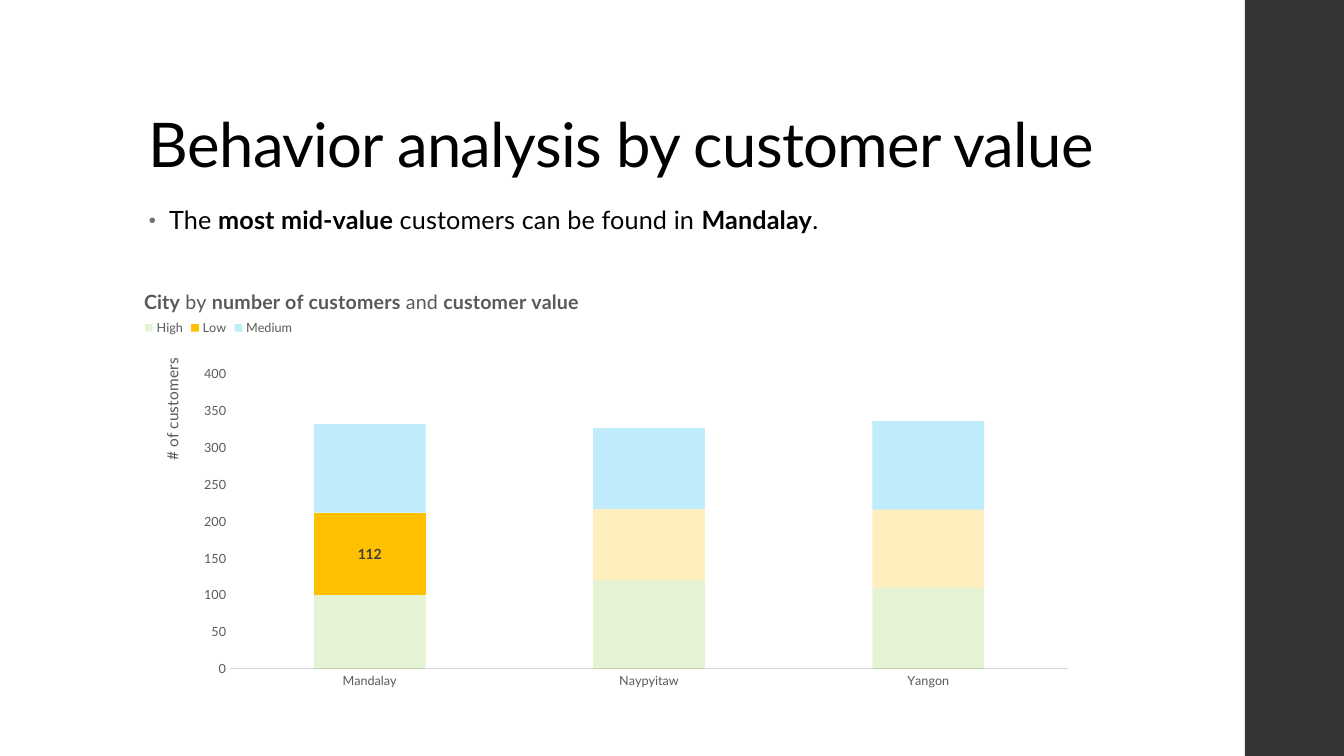
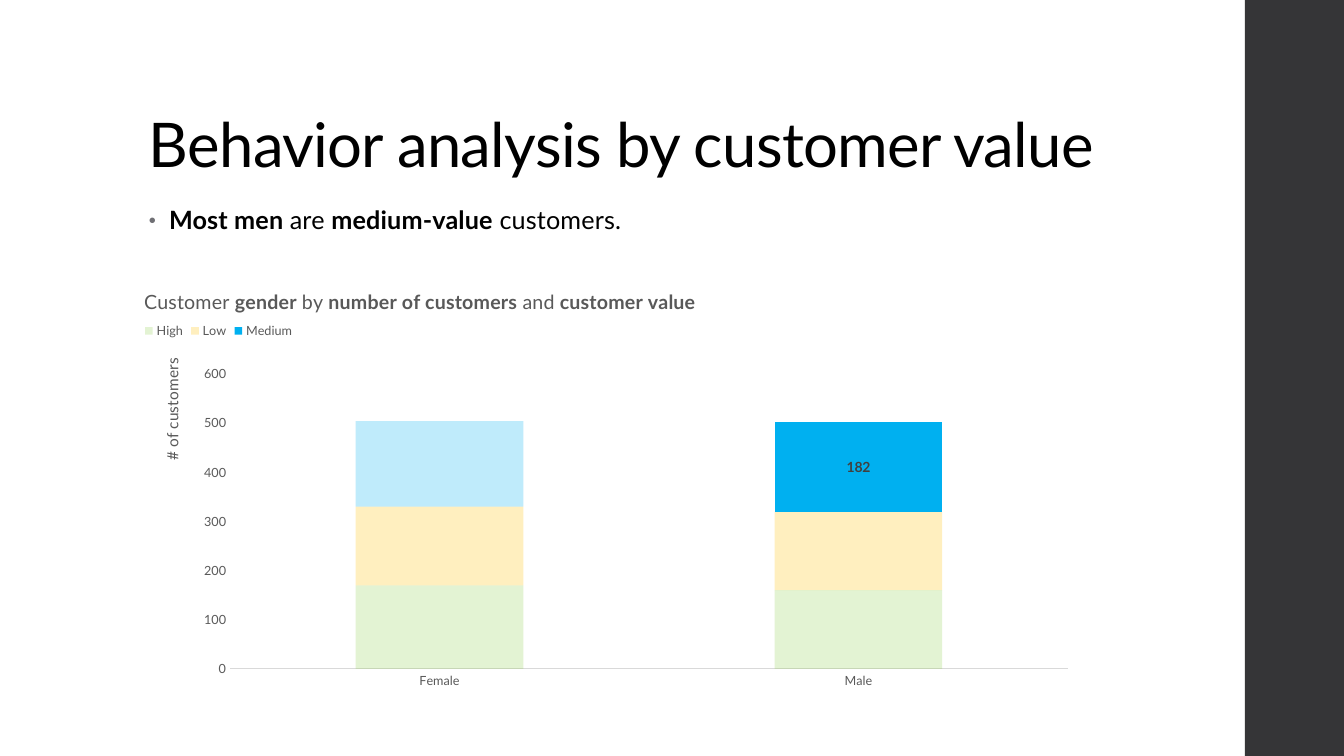
"""Build two slides on customer value, each with a stacked column chart."""
import pptx
import pptx.chart.data
import pptx.dml.color
import pptx.enum.chart
import pptx.enum.shapes
import pptx.enum.text
import pptx.oxml
import pptx.oxml.ns
import pptx.util
from lxml import etree

RGB = pptx.dml.color.RGBColor
BLACK = RGB(0x00, 0x00, 0x00)
BAND = RGB(0x35, 0x35, 0x37)
GREY = RGB(0x59, 0x59, 0x59)
DARK = RGB(0x40, 0x40, 0x40)
RULE = RGB(0xD9, 0xD9, 0xD9)
GREEN = RGB(0x92, 0xD0, 0x50)
AMBER = RGB(0xFF, 0xC0, 0x00)
BLUE = RGB(0x00, 0xB0, 0xF0)

SCALE = 914400 / 100.8
FONT = "Lato"
LEFT, TOP, WIDE, HIGH = 139, 278, 948, 418
HEAD = {"size": 44, "color": BLACK, "space": -50}
BODY = {"size": 18, "color": BLACK, "space": 10}
TITLE = {"size": 14, "color": GREY}
AXIS = {"size": 11, "color": GREY}
TICK = {"size": 9, "color": GREY}
LABEL = {"size": 10, "color": DARK, "bold": True}
BASE = {"size": 10, "color": BLACK}

BULLET = (
    '<a:buClr %s><a:srgbClr val="6F6F74"/></a:buClr>',
    '<a:buSzPct %s val="80000"/>',
    '<a:buFont %s typeface="Arial"/>',
    '<a:buChar %s char="•"/>',
)
SPACE = pptx.oxml.ns.nsdecls("a")
qn = pptx.oxml.ns.qn

SLIDES = [
    {
        "text": "The *most mid-value *customers can be found in *Mandalay*.",
        "title": "*City* by *number of customers* and *customer value*",
        "cats": ["Mandalay", "Naypyitaw", "Yangon"],
        "rows": [("High", GREEN, (100, 120, 110)),
                 ("Low", AMBER, (112, 97, 106)),
                 ("Medium", BLUE, (120, 110, 120))],
        "key": ("Low", 0), "top": 400, "step": 50, "legend": 316,
    },
    {
        "text": "*Most men *are *medium-value* customers.",
        "title": "Customer *gender* by *number of customers* and *customer value*",
        "cats": ["Female", "Male"],
        "rows": [("High", GREEN, (170, 160)),
                 ("Low", AMBER, (160, 160)),
                 ("Medium", BLUE, (174, 182))],
        "key": ("Medium", 1), "top": 600, "step": 100, "legend": 319,
    },
]


def px(*sizes):
    """Turn px lengths into EMU."""
    return [pptx.util.Emu(round(size * SCALE)) for size in sizes]


def style(font, look):
    """Set a font from a dict of format values."""
    font.name = FONT
    font.size = pptx.util.Pt(look["size"])
    font.bold = look.get("bold", False)
    font.color.rgb = look["color"]


deck = pptx.Presentation()
deck.slide_width, deck.slide_height = px(1344, 756)

for page in SLIDES:
    slide = deck.slides.add_slide(deck.slide_layouts[6])
    band = slide.shapes.add_shape(
        pptx.enum.shapes.MSO_SHAPE.RECTANGLE, *px(1245, 0, 99, 756))
    band.shadow.inherit = False
    band.fill.solid()
    band.fill.fore_color.rgb = BAND
    band.line.fill.background()

    head = slide.shapes.add_textbox(*px(LEFT, 40, 1068, 146)).text_frame
    body = slide.shapes.add_textbox(*px(LEFT, 202, WIDE, 480)).text_frame
    head.vertical_anchor = pptx.enum.text.MSO_ANCHOR.BOTTOM
    head.word_wrap = body.word_wrap = True
    head.paragraphs[0].line_spacing = 0.9
    point = body.paragraphs[0]
    point.line_spacing = 0.95
    point.space_after = pptx.util.Pt(2)
    props = point._p.get_or_add_pPr()
    props.set("marL", "182880")
    props.set("indent", "-182880")
    for mark in BULLET:
        props.append(pptx.oxml.parse_xml(mark % SPACE))

    data = pptx.chart.data.CategoryChartData()
    data.categories = page["cats"]
    for name, hue, vals in page["rows"]:
        data.add_series(name, vals)
    chart = slide.shapes.add_chart(
        pptx.enum.chart.XL_CHART_TYPE.COLUMN_STACKED,
        *px(LEFT, TOP, WIDE, HIGH), data).chart
    style(chart.font, BASE)
    chart.has_title = chart.has_legend = True
    chart.legend.position = pptx.enum.chart.XL_LEGEND_POSITION.TOP
    chart.legend.include_in_layout = False
    style(chart.legend.font, TICK)

    xax, yax = chart.category_axis, chart.value_axis
    for axis in (xax, yax):
        axis.has_major_gridlines = False
        axis.major_tick_mark = pptx.enum.chart.XL_TICK_MARK.NONE
        axis.minor_tick_mark = pptx.enum.chart.XL_TICK_MARK.NONE
        style(axis.tick_labels.font, TICK)
    xax.format.line.color.rgb = RULE
    xax.format.line.width = pptx.util.Pt(0.75)
    yax.format.line.fill.background()
    yax.minimum_scale, yax.maximum_scale = 0, page["top"]
    yax.major_unit = page["step"]
    yax.has_title = True

    texts = [
        (head, "Behavior analysis by customer value", HEAD),
        (body, page["text"], BODY),
        (chart.chart_title.text_frame, page["title"], TITLE),
        (yax.axis_title.text_frame, "# of customers", AXIS),
    ]
    for frame, text, look in texts:
        for spot, piece in enumerate(text.split("*")):
            if piece:
                run = frame.paragraphs[0].add_run()
                run.text = piece
                style(run.font, {**look, "bold": spot % 2 == 1})
                if "space" in look:
                    run._r.get_or_add_rPr().set("spc", str(look["space"]))

    plot = chart.plots[0]
    plot.gap_width, plot.overlap = 150, 100
    plot.vary_by_categories = False
    keyrow, keycol = page["key"]
    for row, (name, hue, vals) in zip(plot.series, page["rows"]):
        row.invert_if_negative = False
        fills = [(row.format.fill, name != keyrow)]
        if name == keyrow:
            fills += [(row.points[col].format.fill, True)
                      for col in range(len(vals)) if col != keycol]
            row.data_labels.show_value = False
            label = row.points[keycol].data_label
            style(label.font, LABEL)
            label.position = pptx.enum.chart.XL_LABEL_POSITION.CENTER
        for fill, pale in fills:
            fill.solid()
            fill.fore_color.rgb = hue
            if pale:
                tint = fill._xPr.find(".//" + qn("a:srgbClr"))
                etree.SubElement(tint, qn("a:alpha")).set("val", "25000")

    root = chart._chartSpace
    root.xpath(".//c:valAx/c:title//a:bodyPr")[0].set("rot", "-5400000")
    places = [
        ("c:chart/c:title", 1, (141, 284)),
        ("c:chart/c:legend", 1, (141, page["legend"])),
        (".//c:valAx/c:title", 1, (158, 355)),
        (".//c:plotArea", 0, (230, 374, 838, 295)),
    ]
    for where, index, box in places:
        node = root.xpath(where)[0]
        for old in node.findall(qn("c:layout")):
            node.remove(old)
        layout = etree.Element(qn("c:layout"))
        manual = etree.SubElement(layout, qn("c:manualLayout"))
        spans = [box[0] - LEFT, box[1] - TOP, *box[2:]]
        values = [("xMode", "edge"), ("yMode", "edge")]
        values += [(key, f"{span / full:.4f}") for key, span, full
                   in zip("xywh", spans, (WIDE, HIGH, WIDE, HIGH))]
        if len(box) == 4:
            values.insert(0, ("layoutTarget", "inner"))
        for key, value in values:
            etree.SubElement(manual, qn("c:" + key)).set("val", value)
        node.insert(index, layout)

deck.save("out.pptx")
